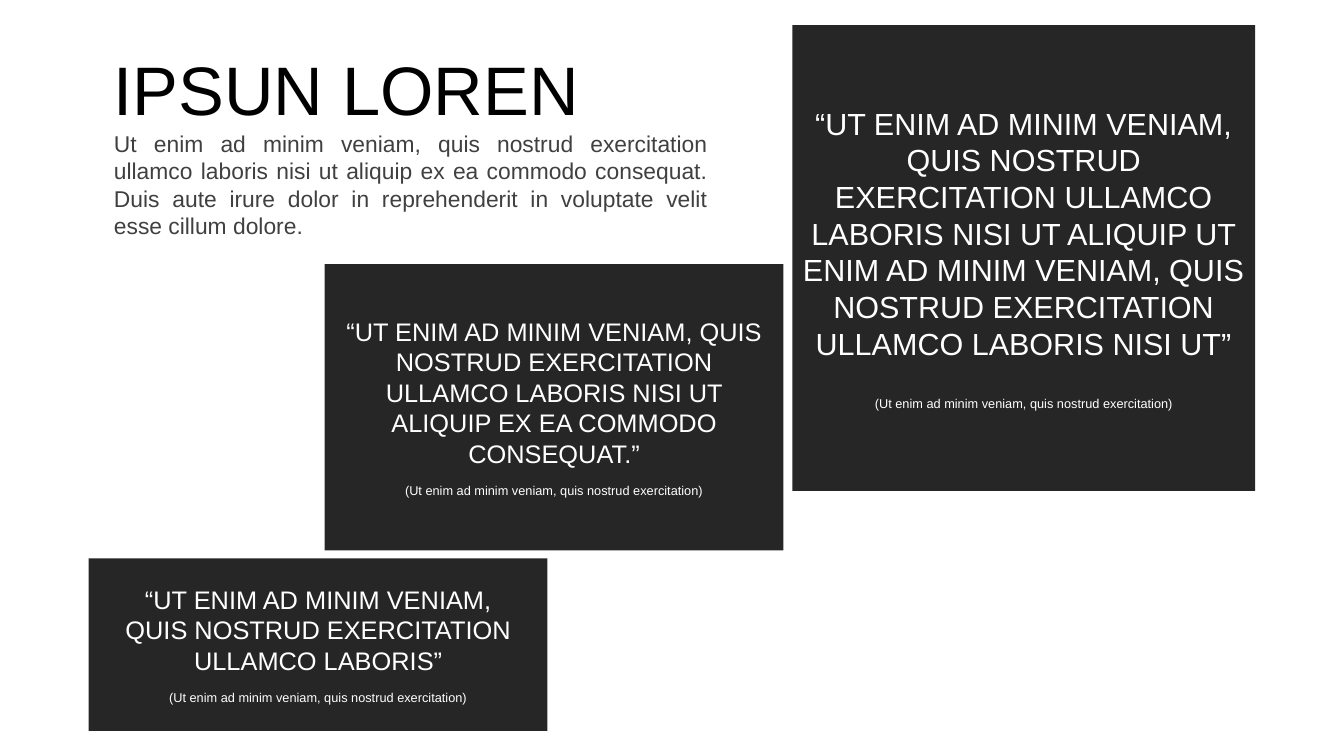
from dataclasses import dataclass

from pptx import Presentation
from pptx import util as u
from pptx.dml.color import RGBColor
from pptx.enum import shapes, text

PX = u.Inches(1) // 100  # 100 px to the inch


@dataclass(frozen=True)
class Theme:
    font: str = "Arial"
    white: str = "FFFFFF"
    black: str = "000000"
    body_grey: str = "404040"
    panel_grey: str = "262626"
    title_size: float = 49
    body_size: float = 16.3
    large_quote_size: float = 21.8
    quote_size: float = 18.1
    note_size: float = 9.1


THEME = Theme()
NOTE = "(Ut enim ad minim veniam, quis nostrud exercitation)"
BODY = (
    "Ut enim ad minim veniam, quis nostrud exercitation ullamco laboris nisi ut "
    "aliquip ex ea commodo consequat. Duis aute irure dolor in reprehenderit in "
    "voluptate velit esse cillum dolore."
)
LARGE_QUOTE = (
    "“UT ENIM AD MINIM VENIAM, QUIS NOSTRUD EXERCITATION ULLAMCO LABORIS NISI UT "
    "ALIQUIP UT ENIM AD MINIM VENIAM, QUIS NOSTRUD EXERCITATION ULLAMCO LABORIS "
    "NISI UT”"
)
MIDDLE_QUOTE = (
    "“UT ENIM AD MINIM VENIAM, QUIS NOSTRUD EXERCITATION ULLAMCO LABORIS NISI UT "
    "ALIQUIP EX EA COMMODO CONSEQUAT.”"
)
SHORT_QUOTE = ["“UT ENIM AD MINIM VENIAM,", "QUIS NOSTRUD EXERCITATION ULLAMCO LABORIS”"]


def add_panel(slide, box, *, fill, margins):
    """Add a borderless rectangle; margins are (horizontal, vertical)."""
    shape = slide.shapes.add_shape(
        shapes.MSO_SHAPE.RECTANGLE, *(length * PX for length in box)
    )
    shape.shadow.inherit = False
    shape.fill.solid()
    shape.fill.fore_color.rgb = RGBColor.from_string(fill)
    shape.line.fill.background()
    frame = shape.text_frame
    frame.word_wrap = True
    frame.vertical_anchor = text.MSO_ANCHOR.MIDDLE
    frame.margin_left = frame.margin_right = margins[0] * PX
    frame.margin_top = frame.margin_bottom = margins[1] * PX
    return frame


def write(frame, words, *, size, color=THEME.white,
          align=text.PP_ALIGN.CENTER, space_before=0):
    """Write one paragraph, using the frame's first one while it is empty."""
    paragraph = frame.paragraphs[0] if not frame.text else frame.add_paragraph()
    paragraph.alignment = align
    paragraph.space_before = u.Pt(space_before)
    run = paragraph.add_run()
    run.text = words
    run.font.name = THEME.font
    run.font.size = u.Pt(size)
    run.font.color.rgb = RGBColor.from_string(color)


def add_heading(slide, box):
    frame = add_panel(slide, box, fill=THEME.white, margins=(25, 25))
    write(frame, "IPSUN LOREN", size=THEME.title_size, color=THEME.black,
          align=text.PP_ALIGN.LEFT)
    write(frame, BODY, size=THEME.body_size, color=THEME.body_grey,
          align=text.PP_ALIGN.JUSTIFY)


def add_quote(slide, box, lines, *, size, note_gap):
    frame = add_panel(slide, box, fill=THEME.panel_grey, margins=(9, 5))
    for line in lines:
        write(frame, line, size=size)
    write(frame, NOTE, size=THEME.note_size, space_before=note_gap)


def main():
    presentation = Presentation()
    presentation.slide_width = 1333 * PX
    presentation.slide_height = 750 * PX
    slide = presentation.slides.add_slide(presentation.slide_layouts[6])

    add_heading(slide, (88, 32, 639, 220))
    add_quote(slide, (786, 25, 459, 462), [LARGE_QUOTE],
              size=THEME.large_quote_size, note_gap=25)
    add_quote(slide, (322, 262, 455, 284), [MIDDLE_QUOTE],
              size=THEME.quote_size, note_gap=10.5)
    add_quote(slide, (88, 554, 455, 171), SHORT_QUOTE,
              size=THEME.quote_size, note_gap=10.5)

    presentation.save("out.pptx")


if __name__ == "__main__":
    main()
